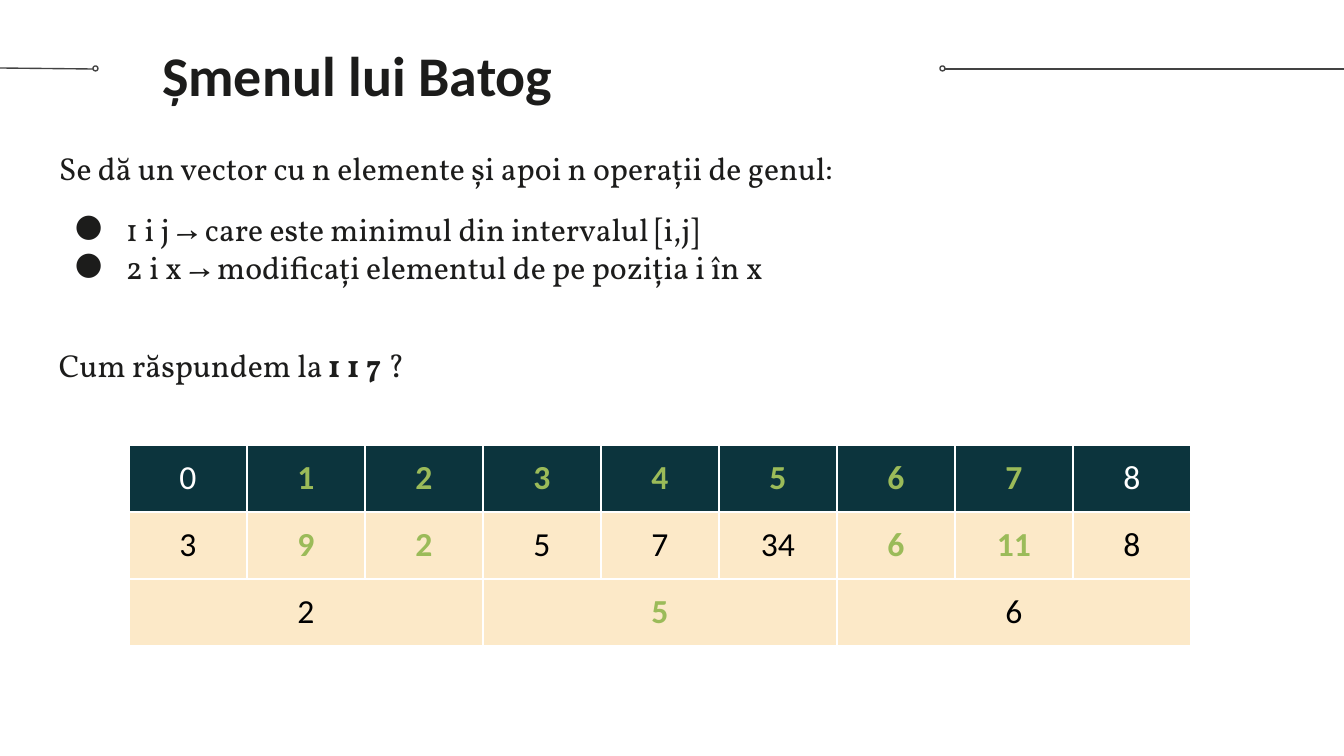
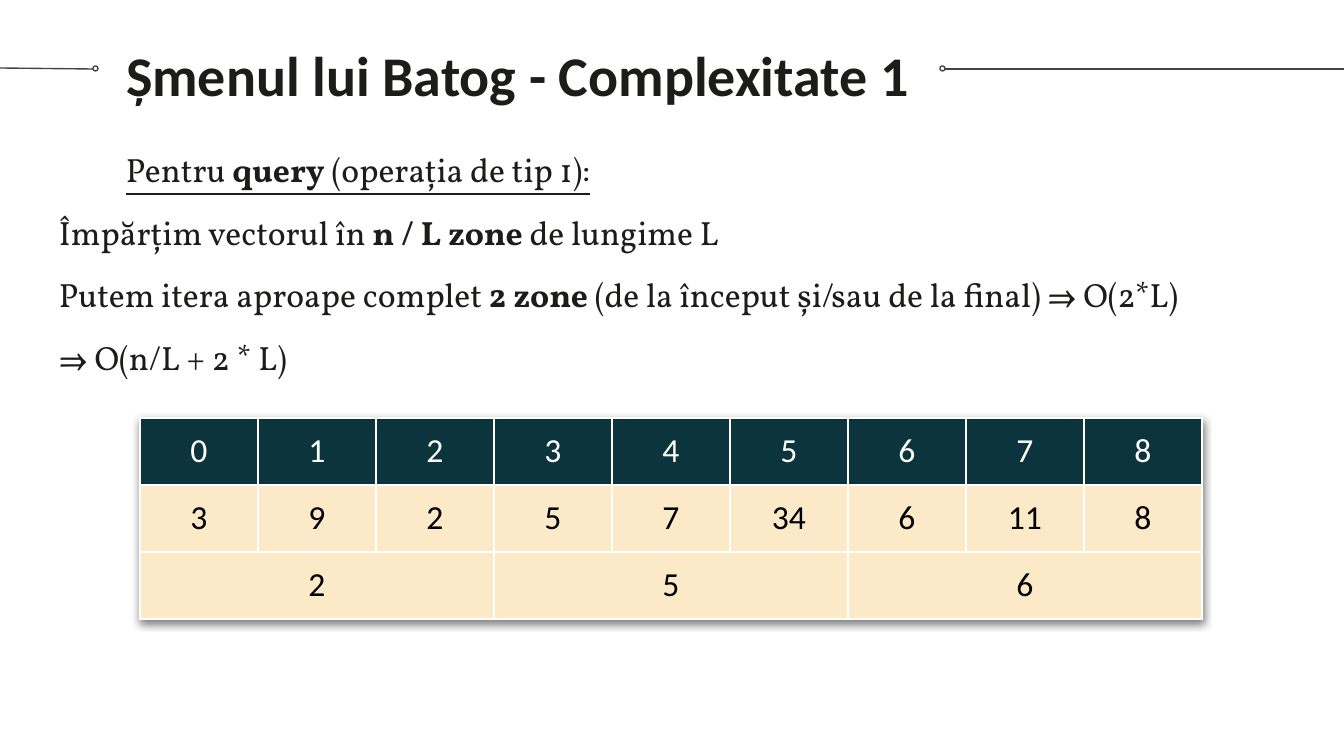
"""Build two slides about Batog's square-root decomposition."""
import lxml.etree
import pptx
import pptx.dml.color
import pptx.enum.shapes
import pptx.enum.text
import pptx.oxml.ns
import pptx.util

SCALE = 914400 / 134.4
INK = pptx.dml.color.RGBColor(0x1C, 0x1C, 0x1B)
RULE = pptx.dml.color.RGBColor(0x43, 0x43, 0x43)
WHITE = pptx.dml.color.RGBColor(0xFF, 0xFF, 0xFF)
BLACK = pptx.dml.color.RGBColor(0, 0, 0)
TEAL = pptx.dml.color.RGBColor(0x0C, 0x34, 0x3D)
CREAM = pptx.dml.color.RGBColor(0xFC, 0xE9, 0xC8)
GREEN = pptx.dml.color.RGBColor(0x9B, 0xBB, 0x59)

COLUMN, ROW, PADDING, ZONE = 118, 67, 13, 3
ROWS = [
    ["0", "1", "2", "3", "4", "5", "6", "7", "8"],
    ["3", "9", "2", "5", "7", "34", "6", "11", "8"],
    ["2", "", "", "5", "", "", "6", "", ""],
]
ANSWER = {(0, c) for c in range(1, 8)} | {(1, c) for c in (1, 2, 6, 7)} | {(2, 3)}

# kind, space before, runs
SLIDES = [
    {
        "title": "Șmenul lui Batog", "title_left": 149, "size": 17,
        "table_at": (129, 445), "highlighted": ANSWER, "shadow": False,
        "body": [
            ("plain", 0, [("Se dă un vector cu n elemente și apoi n operații de genul:", "")]),
            ("bullet", 12, [("1 i j ", ""), ("→", "small"),
                            (" care este minimul din intervalul [i,j]", "")]),
            ("bullet", 0, [("2 i x ", ""), ("→", "small"),
                           (" modificați elementul de pe poziția i în x", "")]),
            ("tabbed", 32, [("Cum răspundem la\t", ""), ("1 1 7 ", "bold"), ("?", "")]),
        ],
    },
    {
        "title": "Șmenul lui Batog - Complexitate 1", "title_left": 113, "size": 18,
        "table_at": (140, 418), "highlighted": set(), "shadow": True,
        "body": [
            ("heading", 0, [("Pentru ", ""), ("query", "bold"), (" (operația de tip 1):", "")]),
            ("plain", 12, [("Împărțim vectorul în ", ""), ("n / L zone", "bold"),
                           (" de lungime L", "")]),
            ("plain", 12, [("Putem itera aproape complet ", ""), ("2 zone", "bold"),
                           (" (de la început și/sau de la final) ⇒ O(2*L)", "")]),
            ("plain", 12, [("⇒ O(n/L + 2 * L)", "")]),
        ],
    },
]


def px(length):
    """Turn pixels into EMU."""
    return pptx.util.Emu(round(length * SCALE))


def add_xml(parent, tag, **attributes):
    """Append a child element with the given attributes."""
    values = {name: str(value) for name, value in attributes.items()}
    return lxml.etree.SubElement(parent, pptx.oxml.ns.qn(tag), values)


deck = pptx.Presentation()
deck.slide_width, deck.slide_height = px(1344), px(756)

for content in SLIDES:
    slide = deck.slides.add_slide(deck.slide_layouts[1])

    for x1, y1, x2, y2 in [(0, 68, 93, 69), (945, 69, 1344, 69)]:
        rule = slide.shapes.add_connector(
            pptx.enum.shapes.MSO_CONNECTOR.STRAIGHT, px(x1), px(y1), px(x2), px(y2))
        rule.line.color.rgb = RULE
        rule.line.width = pptx.util.Pt(0.75)
        add_xml(rule._element.spPr, "a:effectLst")
    for left in (93, 940):
        ring = slide.shapes.add_shape(
            pptx.enum.shapes.MSO_SHAPE.OVAL, px(left), px(66), px(5), px(5))
        ring.shadow.inherit = False
        ring.fill.background()
        ring.line.color.rgb = RULE
        ring.line.width = pptx.util.Pt(0.75)

    title, body = slide.shapes.title, slide.placeholders[1]
    title.left, title.top, title.width, title.height = (
        px(content["title_left"]), px(23), px(1253), px(103))
    body.left, body.top, body.width, body.height = px(46), px(136), px(1253), px(570)
    for frame in (title.text_frame, body.text_frame):
        frame.auto_size = pptx.enum.text.MSO_AUTO_SIZE.NONE
        frame.word_wrap = True
        frame.margin_left = frame.margin_right = px(PADDING)
        frame.margin_top = frame.margin_bottom = px(PADDING)
    title.text_frame.vertical_anchor = pptx.enum.text.MSO_ANCHOR.MIDDLE
    body.text_frame.vertical_anchor = pptx.enum.text.MSO_ANCHOR.TOP

    title.text_frame.text = content["title"]
    heading = title.text_frame.paragraphs[0]
    heading.alignment = pptx.enum.text.PP_ALIGN.LEFT
    heading.font.name = "Calibri"
    heading.font.size = pptx.util.Pt(30)
    heading.font.bold = True
    heading.font.color.rgb = INK

    for index, (kind, space_before, runs) in enumerate(content["body"]):
        paragraph = (body.text_frame.add_paragraph() if index
                     else body.text_frame.paragraphs[0])
        paragraph.alignment = pptx.enum.text.PP_ALIGN.LEFT
        paragraph.space_before = pptx.util.Pt(space_before)
        properties = paragraph._p.get_or_add_pPr()
        properties.set("marL", str(px(67 if kind in ("bullet", "heading") else 0)))
        properties.set("indent", str(px(-51 if kind == "bullet" else 0)))
        if kind == "bullet":
            add_xml(properties, "a:buFont", typeface="Vollkorn")
            add_xml(properties, "a:buChar", char="●")
        else:
            add_xml(properties, "a:buNone")
        if kind == "tabbed":
            stops = add_xml(properties, "a:tabLst")
            add_xml(stops, "a:tab", pos=px(284), algn="l")
        paragraph.font.name = "Vollkorn"
        paragraph.font.size = pptx.util.Pt(content["size"])
        paragraph.font.color.rgb = INK
        paragraph.font.underline = kind == "heading"
        for text, style in runs:
            run = paragraph.add_run()
            run.text = text
            if style == "bold":
                run.font.bold = True
            elif style == "small":
                run.font.size = pptx.util.Pt(14)

    left, top = content["table_at"]
    vector = slide.shapes.add_table(
        len(ROWS), len(ROWS[0]), px(left), px(top),
        px(COLUMN * len(ROWS[0])), px(ROW * len(ROWS))).table
    vector.first_row = vector.horz_banding = False
    if content["shadow"]:
        effects = add_xml(vector._tbl.tblPr, "a:effectLst")
        vector._tbl.tblPr.insert(0, effects)
        shadow = add_xml(effects, "a:outerShdw", blurRad=57150, dist=19050,
                         dir=5400000, algn="bl", rotWithShape=0)
        add_xml(add_xml(shadow, "a:srgbClr", val=BLACK), "a:alpha", val=50000)
    for column in vector.columns:
        column.width = px(COLUMN)
    for row in vector.rows:
        row.height = px(ROW)
    for start in range(0, len(ROWS[0]), ZONE):
        vector.cell(2, start).merge(vector.cell(2, start + ZONE - 1))

    for r, values in enumerate(ROWS):
        for c, value in enumerate(values):
            cell = vector.cell(r, c)
            cell.margin_left = cell.margin_right = px(PADDING)
            cell.margin_top = cell.margin_bottom = px(PADDING)
            for side in ("a:lnL", "a:lnR", "a:lnT", "a:lnB"):
                border = add_xml(cell._tc.get_or_add_tcPr(), side, w=9525)
                add_xml(add_xml(border, "a:solidFill"), "a:srgbClr", val=WHITE)
            cell.fill.solid()
            cell.fill.fore_color.rgb = CREAM if r else TEAL
            cell.text = value
            number = cell.text_frame.paragraphs[0]
            highlighted = (r, c) in content["highlighted"]
            number.alignment = pptx.enum.text.PP_ALIGN.CENTER
            number.font.name = "Calibri"
            number.font.size = pptx.util.Pt(18)
            number.font.bold = highlighted
            number.font.color.rgb = GREEN if highlighted else BLACK if r else WHITE

deck.save("out.pptx")
